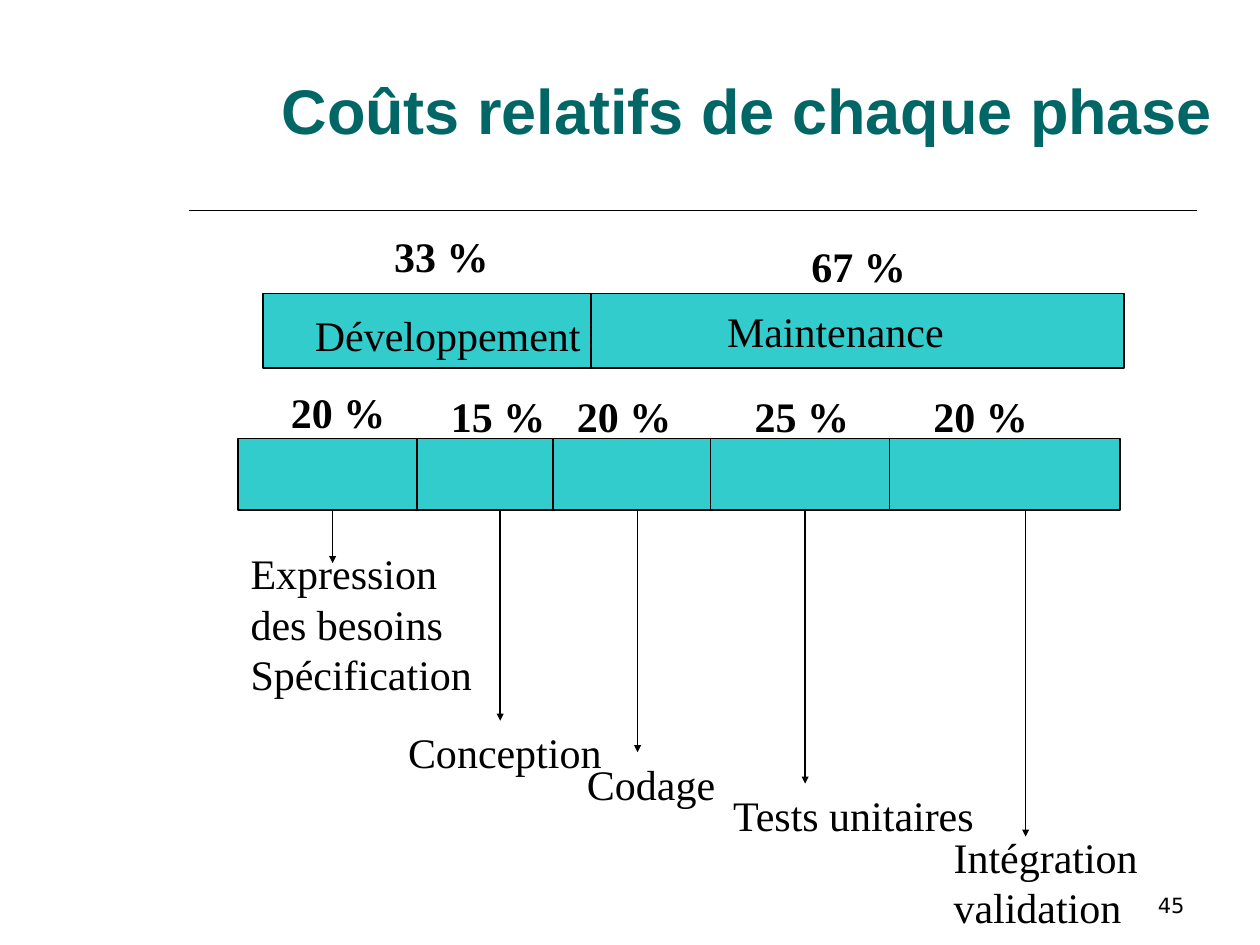
"""Build the slide on the relative cost of each software phase."""
from lxml import etree
from pptx import Presentation
from pptx import util as u
from pptx.dml.color import RGBColor
from pptx.enum import shapes, text
from pptx.oxml import ns

COLOURS = {"ink": "000000", "title": "006666", "bar": "33CCCC"}
SERIF = "Times New Roman"
BAR_TOP, BAR_BOTTOM = 2.33, 2.92
PHASE_TOP, PHASE_BOTTOM = 3.48, 4.05

PERCENTAGES = [
    ("33 %", 3.03, 1.78), ("67 %", 6.34, 1.86),
    ("20 %", 2.21, 3.02), ("15 %", 3.48, 3.05), ("20 %", 4.48, 3.05),
    ("25 %", 5.89, 3.05), ("20 %", 7.31, 3.05),
]
PHASES = [
    ("Expression\ndes besoins\nSpécification", 1.89, 4.3, 2, 2.64, 4.47),
    ("Conception", 3.14, 5.72, 1.8, 3.97, 5.72),
    ("Codage", 4.56, 5.97, 1.25, 5.06, 5.97),
    ("Tests unitaires", 5.72, 6.22, 2.16, 6.39, 6.22),
    ("Intégration\nvalidation", 7.47, 6.55, 1.7, 8.14, 6.64),
]
PHASE_DIVIDERS = [3.31, 4.39, 5.64, 7.06]


def colour(name):
    return RGBColor.from_string(COLOURS[name])


def style_text(frame, size=24, font=SERIF, ink="ink", bold=False, align=text.PP_ALIGN.LEFT):
    for para in frame.paragraphs:
        para.alignment = align
        for span in para.runs:
            span.font.size = u.Pt(size)
            span.font.name = font
            span.font.bold = bold
            span.font.color.rgb = colour(ink)


def add_text(page, words, left, top, width, height, wrap=False, anchor=text.MSO_ANCHOR.TOP, **style):
    box = page.shapes.add_textbox(*map(u.Inches, (left, top, width, height)))
    frame = box.text_frame
    frame.text = words
    frame.word_wrap = wrap
    frame.vertical_anchor = anchor
    style_text(frame, **style)
    return frame


def add_label(page, words, left, top, width, bold=False):
    lines = words.count("\n") + 1
    frame = add_text(page, words, left, top, width, 0.1 + 0.4 * lines, bold=bold)
    for para in frame.paragraphs:
        para.line_spacing = u.Pt(28.8)


def add_bar(page, left, top, width, height):
    bar = page.shapes.add_shape(
        shapes.MSO_SHAPE.RECTANGLE, *map(u.Inches, (left, top, width, height)))
    bar.shadow.inherit = False
    bar.fill.solid()
    bar.fill.fore_color.rgb = colour("bar")
    bar.line.color.rgb = colour("ink")
    bar.line.width = u.Pt(1)
    return bar


def add_line(page, x1, y1, x2, y2, arrow=False):
    line = page.shapes.add_connector(
        shapes.MSO_CONNECTOR.STRAIGHT, *map(u.Inches, (x1, y1, x2, y2)))
    line.line.color.rgb = colour("ink")
    line.line.width = u.Pt(1)
    if arrow:
        outline = line.line._get_or_add_ln()
        etree.SubElement(outline, ns.qn("a:tailEnd"), type="triangle", w="sm", len="sm")
    etree.SubElement(line._element.spPr, ns.qn("a:effectLst"))


def add_cost_split(page):
    bar = add_bar(page, 2.09, BAR_TOP, 6.83, BAR_BOTTOM - BAR_TOP)
    frame = bar.text_frame
    frame.text = "Maintenance"
    frame.margin_left = u.Inches(2.35)
    frame.vertical_anchor = text.MSO_ANCHOR.MIDDLE
    style_text(frame, align=text.PP_ALIGN.CENTER)
    add_line(page, 4.69, BAR_TOP, 4.69, BAR_BOTTOM)
    add_label(page, "Développement", 2.4, 2.41, 2.35)


def add_phases(page):
    add_bar(page, 1.89, PHASE_TOP, 7, PHASE_BOTTOM - PHASE_TOP)
    for x in PHASE_DIVIDERS:
        add_line(page, x, PHASE_TOP, x, PHASE_BOTTOM)
    for words, left, top, width, arrow_x, arrow_end in PHASES:
        add_label(page, words, left, top, width)
        add_line(page, arrow_x, PHASE_BOTTOM, arrow_x, arrow_end, arrow=True)


def main():
    deck = Presentation()
    deck.slide_width, deck.slide_height = u.Inches(10), u.Inches(7.5)
    page = deck.slides.add_slide(deck.slide_layouts[6])
    add_line(page, 1.5, 1.67, 9.5, 1.67)
    add_text(page, "45", 7.17, 6.83, 2.33, 0.5, wrap=True, anchor=text.MSO_ANCHOR.BOTTOM,
             size=12, font="DejaVu Sans", align=text.PP_ALIGN.RIGHT)
    add_text(page, "Coûts relatifs de chaque phase", 1.14, 0.3, 9.58, 0.92, wrap=True,
             anchor=text.MSO_ANCHOR.BOTTOM, size=36, font="Arial", ink="title",
             bold=True, align=text.PP_ALIGN.CENTER)
    add_cost_split(page)
    add_phases(page)
    for words, left, top in PERCENTAGES:
        add_label(page, words, left, top, 0.95, bold=True)
    deck.save("out.pptx")


if __name__ == "__main__":
    main()
